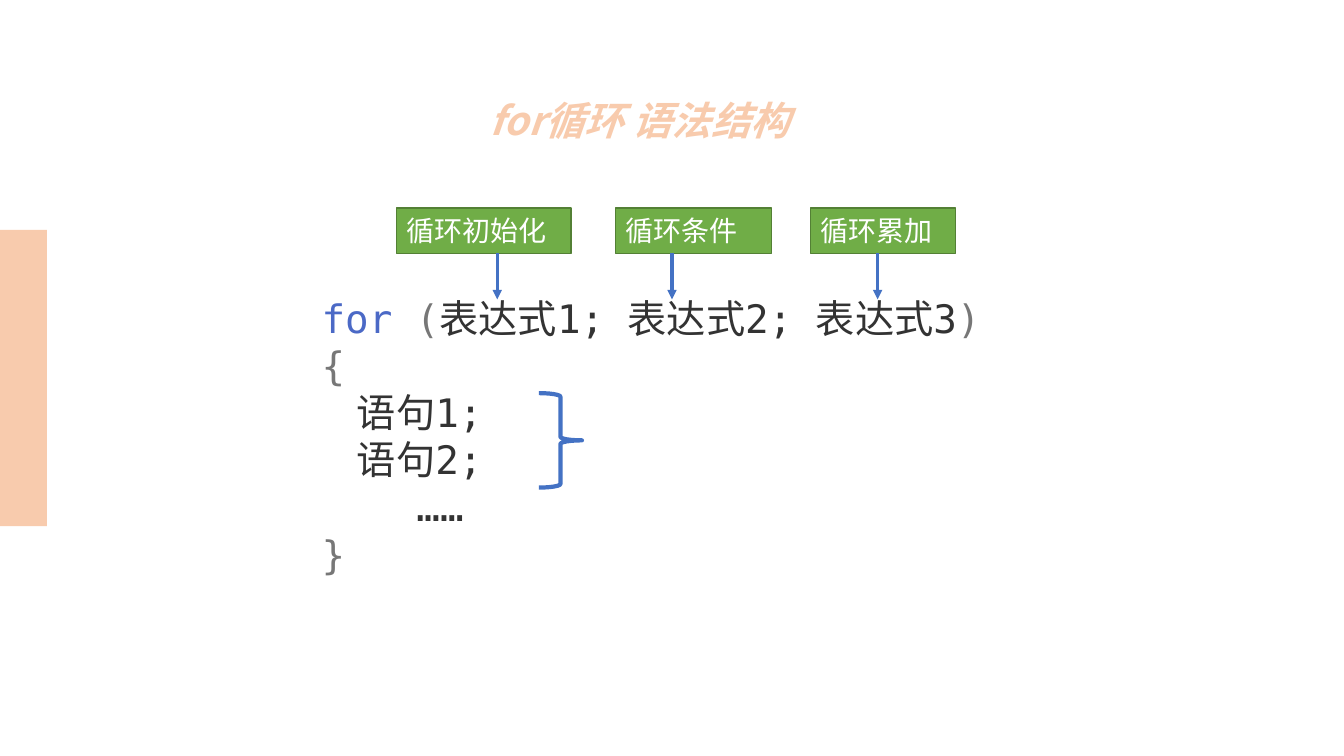
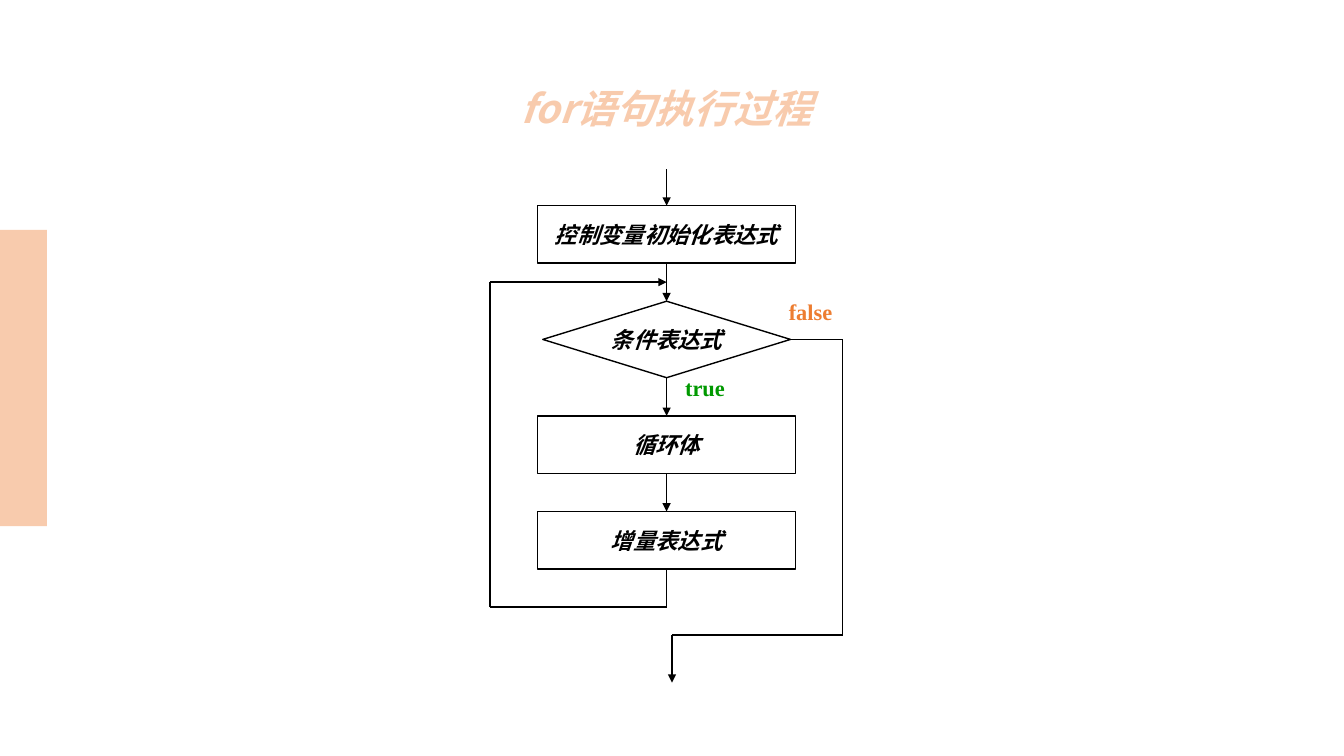
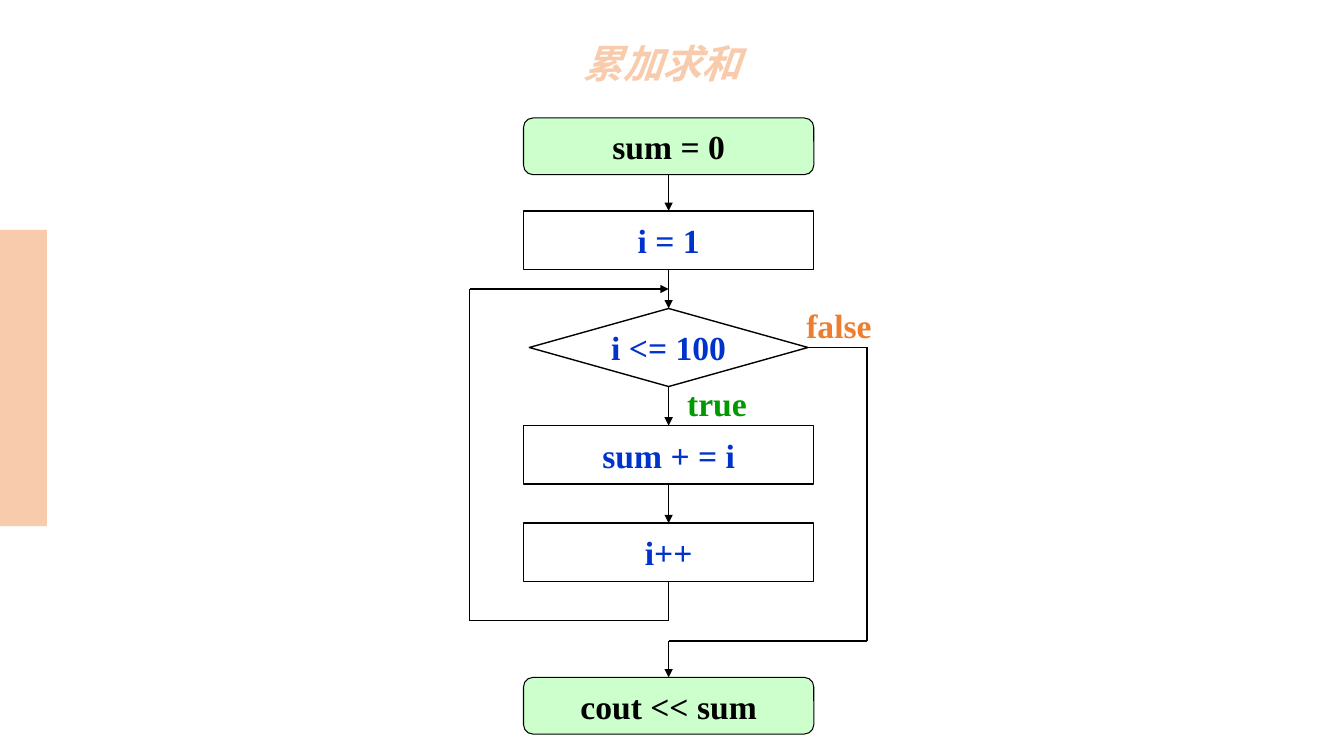
from dataclasses import dataclass
from itertools import pairwise

from pptx import Presentation
from pptx import util as u
from pptx.dml.color import RGBColor
from pptx.enum import shapes, text
from pptx.oxml.ns import qn
from lxml import etree

SHAPE = shapes.MSO_SHAPE
WIDTH, HEIGHT = u.Inches(13.33), u.Inches(7.5)
TITLE_ONLY = 5


# Theme shared by all slides
@dataclass(frozen=True)
class Theme:
    peach: str = "F8CBAD"
    orange: str = "ED7D31"
    green: str = "70AD47"
    dark_green: str = "538035"
    pale_green: str = "CCFFCC"
    true_green: str = "009900"
    blue: str = "4472C4"
    formula_blue: str = "0033CC"
    keyword: str = "4B69C6"
    bracket: str = "777777"
    code: str = "333333"
    black: str = "000000"
    white: str = "FFFFFF"
    sans: str = "Noto Sans CJK SC"
    serif: str = "Times New Roman"
    mono: str = "DejaVu Sans Mono"
    title_size: int = 28
    formula_size: int = 24
    label_size: int = 20
    step_size: int = 16


THEME = Theme()


@dataclass(frozen=True)
class Flow:
    """Places of a loop chart, in percent of the slide's width and height."""
    axis: float
    width: float
    top: float
    bottom: float
    loop_x: float
    false_x: float
    exit_x: float
    exit_y: float


# Helpers: positions are percentages of the slide
def across(share):
    return round(WIDTH * share / 100)


def down(share):
    return round(HEIGHT * share / 100)


def place(left, top, width, height):
    return across(left), down(top), across(width), down(height)


def apply(target, values):
    for name, value in values.items():
        setattr(target, name, value)


def color(code):
    return RGBColor.from_string(code)


def style_run(run, size, code, latin, asian=THEME.sans, bold=False, italic=False):
    apply(run.font, {"size": u.Pt(size), "name": latin, "bold": bold, "italic": italic})
    run.font.color.rgb = color(code)
    etree.SubElement(run.font._element, qn("a:ea"), typeface=asian)


def write(shape, words, frame=None, align=text.PP_ALIGN.LEFT, **style):
    apply(shape.text_frame, frame or {})
    paragraph = shape.text_frame.paragraphs[0]
    paragraph.alignment = align
    run = paragraph.add_run()
    run.text = words
    style_run(run, **style)
    return paragraph


def add_box(slide, kind, box, fill=None, line=None, weight=1):
    shape = slide.shapes.add_shape(kind, *place(*box))
    shape.shadow.inherit = False
    for part, code in ((shape.fill, fill), (shape.line.fill, line)):
        if code:
            part.solid()
            part.fore_color.rgb = color(code)
        else:
            part.background()
    if line:
        shape.line.width = u.Pt(weight)
    return shape


def add_line(slide, start, end, code=THEME.black, weight=1, arrow=False):
    """Each end is a point (x, y) or a pair (shape, connection site)."""
    points = [(0, 0) if hasattr(e[0], "shape_id") else (across(e[0]), down(e[1]))
              for e in (start, end)]
    line = slide.shapes.add_connector(shapes.MSO_CONNECTOR.STRAIGHT, *points[0], *points[1])
    for target, join in ((start, line.begin_connect), (end, line.end_connect)):
        if hasattr(target[0], "shape_id"):
            join(*target)
    line.line.color.rgb = color(code)
    line.line.width = u.Pt(weight)
    if arrow:
        etree.SubElement(line.line._get_or_add_ln(), qn("a:tailEnd"), type="triangle")
    etree.SubElement(line._element.spPr, qn("a:effectLst"))
    return line


def add_path(slide, *points, arrow=False):
    legs = list(pairwise(points))
    for number, (start, end) in enumerate(legs, 1):
        add_line(slide, start, end, arrow=arrow and number == len(legs))


def add_slide(presentation, title, left, top):
    slide = presentation.slides.add_slide(presentation.slide_layouts[TITLE_ONLY])
    shape = slide.shapes.title
    apply(shape, dict(zip(("left", "top", "width", "height"), place(left, top, 34.8, 6.67))))
    paragraph = write(shape, title,
                      {"vertical_anchor": text.MSO_ANCHOR.TOP, "word_wrap": True,
                       "auto_size": text.MSO_AUTO_SIZE.NONE},
                      size=THEME.title_size, code=THEME.peach, latin=THEME.sans,
                      bold=True, italic=True)
    paragraph.line_spacing = 0.9
    return slide


def move_band_to_layout(slide):
    band = add_box(slide, SHAPE.RECTANGLE, (0, 30.4, 3.5, 39.2), THEME.peach)
    slide.slide_layout.shapes.element.append(band._element)


# Flow chart parts
def add_step(slide, kind, box, words, fill=THEME.white, weight=1, **style):
    shape = add_box(slide, kind, box, fill, THEME.black, weight)
    write(shape, words, {"vertical_anchor": text.MSO_ANCHOR.MIDDLE, "word_wrap": False},
          text.PP_ALIGN.CENTER, latin=THEME.serif, bold=True, **style)
    return shape


def add_branch_label(slide, left, top, words, code, size):
    label = slide.shapes.add_textbox(*place(left, top, 7.8, size * 0.3 + 0.6))
    write(label, words,
          {"word_wrap": True, "margin_left": u.Inches(0.13), "margin_right": u.Inches(0.13),
           "margin_top": u.Inches(0.07), "margin_bottom": u.Inches(0.07)},
          size=size, code=code, latin=THEME.serif, bold=True)


def add_loop_chart(slide, flow, words, entry, leave, **style):
    # Rows: boxes take 3 units, the decision 4, each gap 2
    unit = (flow.bottom - flow.top) / 21
    steps = []
    top = flow.top
    for number, caption in enumerate(words):
        decision = number == 1
        kind = SHAPE.FLOWCHART_DECISION if decision else SHAPE.FLOWCHART_PROCESS
        width = flow.width * (0.96 if decision else 1)
        height = unit * (4 if decision else 3)
        steps.append(add_step(slide, kind, (flow.axis - width / 2, top, width, height),
                              caption, **style))
        top += height + 2 * unit
    first, condition, _, last = steps

    # Downward arrows
    add_line(slide, entry, (first, 0), arrow=True)
    for upper, lower in pairwise(steps):
        add_line(slide, (upper, 2), (lower, 0), arrow=True)

    # Way back to the condition
    back_y = flow.top + 4 * unit
    add_path(slide, (last, 2), (flow.axis, flow.bottom), (flow.loop_x, flow.bottom),
             (flow.loop_x, back_y), (flow.axis, back_y), arrow=True)

    # Way out when the condition fails
    middle = flow.top + 7 * unit
    add_path(slide, (condition, 3), (flow.false_x, middle), (flow.false_x, flow.exit_y),
             (flow.exit_x, flow.exit_y), leave, arrow=True)

    # Branch labels
    size = style["size"]
    add_branch_label(slide, flow.axis + 0.4, flow.top + 9 * unit - 1.4, "true",
                     THEME.true_green, size)
    add_branch_label(slide, flow.axis + flow.width * 0.48 - 1.1, flow.top + 5 * unit - 1.4,
                     "false", THEME.orange, size)


# Slides
def add_code(slide):
    lines = [
        (0, [("for ", THEME.keyword), ("(", THEME.bracket),
             ("表达式1; 表达式2; 表达式3", THEME.code), (")", THEME.bracket)]),
        (0, [("{", THEME.bracket)]),
        (0.35, [("语句1;", THEME.code)]),
        (0.35, [("语句2;", THEME.code)]),
        (0.94, [("……", THEME.code)]),
        (0, [("}", THEME.bracket)]),
    ]
    box = slide.shapes.add_textbox(*place(23.2, 38.3, 57.8, 39.1))
    frame = box.text_frame
    frame.word_wrap = True
    for number, (indent, pieces) in enumerate(lines):
        paragraph = frame.add_paragraph() if number else frame.paragraphs[0]
        paragraph._p.get_or_add_pPr().set("marL", str(u.Inches(indent)))
        for words, code in pieces:
            run = paragraph.add_run()
            run.text = words
            style_run(run, THEME.title_size, code, THEME.mono, THEME.mono)


def build_syntax(presentation):
    slide = add_slide(presentation, "for循环 语法结构", 35.7, 12.8)
    move_band_to_layout(slide)
    add_code(slide)
    add_box(slide, SHAPE.RIGHT_BRACE, (40.1, 52, 3.2, 12.5), line=THEME.blue, weight=3)
    for words, left, width, arrow_x in (("循环初始化", 29.5, 13, 37),
                                        ("循环条件", 45.8, 11.6, 50),
                                        ("循环累加", 60.3, 10.8, 65.3)):
        label = add_box(slide, SHAPE.RECTANGLE, (left, 27.5, width, 6),
                        THEME.green, THEME.dark_green)
        write(label, words, {"vertical_anchor": text.MSO_ANCHOR.MIDDLE},
              size=THEME.label_size, code=THEME.white, latin=THEME.sans)
        add_line(slide, (arrow_x, 33.5), (arrow_x, 39.6), THEME.blue, 2.25, arrow=True)


def build_process(presentation):
    slide = add_slide(presentation, "for语句执行过程", 38, 11.2)
    flow = Flow(axis=49.6, width=19.2, top=27.2, bottom=80.3, loop_x=36.45,
                false_x=62.7, exit_x=50, exit_y=84)
    add_loop_chart(slide, flow, ("控制变量初始化表达式", "条件表达式", "循环体", "增量表达式"),
                   entry=(flow.axis, 22.4), leave=(flow.exit_x, 90.3),
                   size=THEME.step_size, code=THEME.black, italic=True)


def build_sum(presentation):
    slide = add_slide(presentation, "累加求和", 42.7, 5.2)
    flow = Flow(axis=49.75, width=21.6, top=27.9, bottom=82.1, loop_x=34.95,
                false_x=64.5, exit_x=49.75, exit_y=84.8)
    start, end = [
        add_step(slide, SHAPE.FLOWCHART_ALTERNATE_PROCESS,
                 (flow.axis - flow.width / 2, top, flow.width, 7.5), words,
                 THEME.pale_green, 0.75, size=THEME.formula_size, code=THEME.black)
        for words, top in (("sum = 0", 15.6), ("cout << sum", 89.6))]
    add_loop_chart(slide, flow, ("i = 1", "i <= 100", "sum + = i", "i++"),
                   entry=(start, 2), leave=(end, 0),
                   size=THEME.formula_size, code=THEME.formula_blue)


def main():
    presentation = Presentation()
    apply(presentation, {"slide_width": WIDTH, "slide_height": HEIGHT})
    for build in (build_syntax, build_process, build_sum):
        build(presentation)
    presentation.save("out.pptx")


if __name__ == "__main__":
    main()
